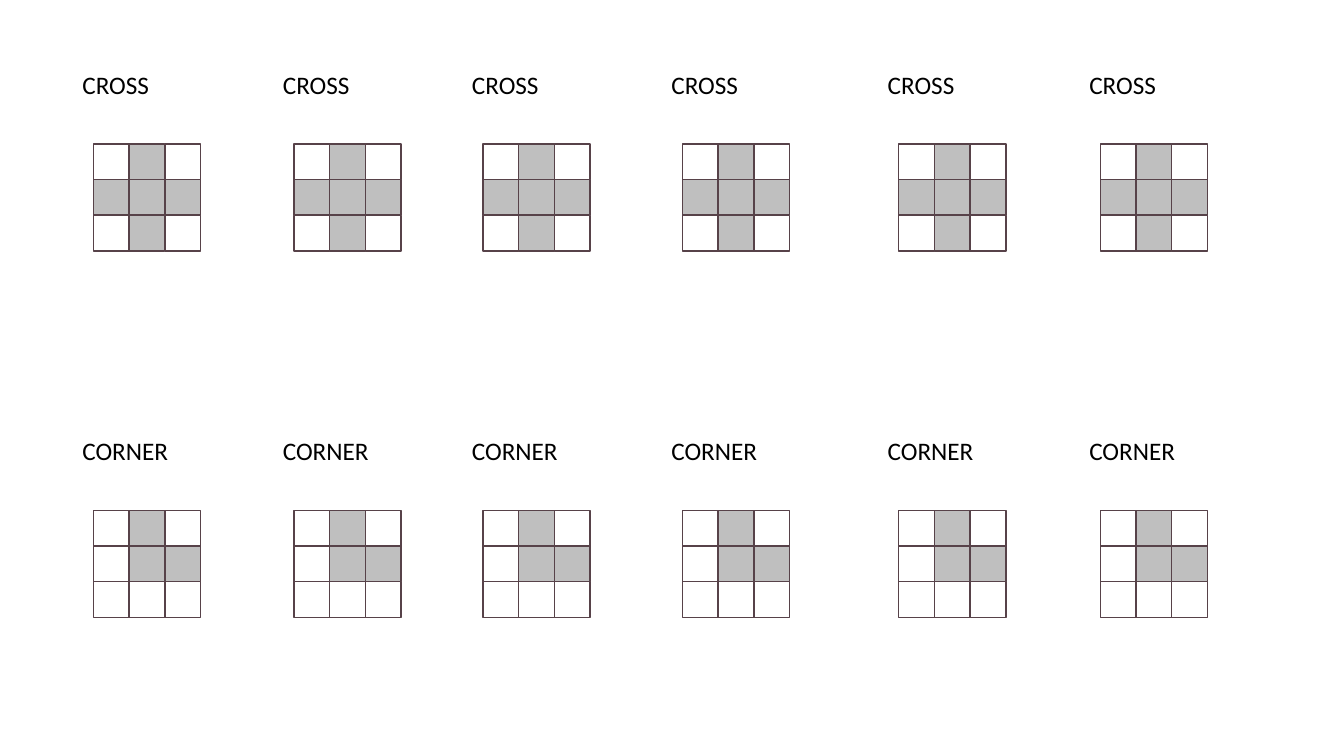
"""Build a slide with six columns of cross and corner neighbourhood grids."""
import pptx
import pptx.dml.color
import pptx.enum.shapes
import pptx.enum.text
import pptx.util

PX = 9525
CELL = 34
GRID_DX, GRID_DY = 20, 76
COLUMNS = [69, 260, 440, 630, 836, 1028]
PATTERNS = [
    ("CROSS", 61, [".#.", "###", ".#."]),
    ("CORNER", 410, [".#.", ".##", "..."]),
]
FILLS = {"#": "BFBFBF", ".": "FFFFFF"}
LABEL_FONT = {"name": "Calibri", "size": pptx.util.Pt(18)}
LABEL_FRAME = {
    "word_wrap": True,
    "auto_size": pptx.enum.text.MSO_AUTO_SIZE.SHAPE_TO_FIT_TEXT,
}


def rgb(value):
    return pptx.dml.color.RGBColor.from_string(value)


def emu(*lengths):
    return [length * PX for length in lengths]


def apply_format(target, values):
    for name, value in values.items():
        setattr(target, name, value)


def add_label(s, text, x, y):
    tf = s.shapes.add_textbox(*emu(x, y, 123, 38)).text_frame
    apply_format(tf, LABEL_FRAME)
    r = tf.paragraphs[0].add_run()
    r.text = text
    apply_format(r.font, LABEL_FONT)
    r.font.color.rgb = rgb("000000")


def add_cell(s, x, y, fill):
    sp = s.shapes.add_shape(
        pptx.enum.shapes.MSO_SHAPE.RECTANGLE, *emu(x, y, CELL, CELL))
    sp.shadow.inherit = False
    sp.fill.solid()
    sp.fill.fore_color.rgb = rgb(fill)
    sp.line.color.rgb = rgb("574249")
    sp.line.width = pptx.util.Pt(1)


def add_grid(s, rows, x, y):
    for i, row in enumerate(rows):
        for j, mark in enumerate(row):
            add_cell(s, x + j * CELL, y + i * CELL, FILLS[mark])


def main():
    prs = pptx.Presentation()
    prs.slide_width, prs.slide_height = emu(1280, 720)
    s = prs.slides.add_slide(prs.slide_layouts[6])
    for x in COLUMNS:
        for text, y, rows in PATTERNS:
            add_label(s, text, x, y)
            add_grid(s, rows, x + GRID_DX, y + GRID_DY)
    prs.save("out.pptx")


if __name__ == "__main__":
    main()
